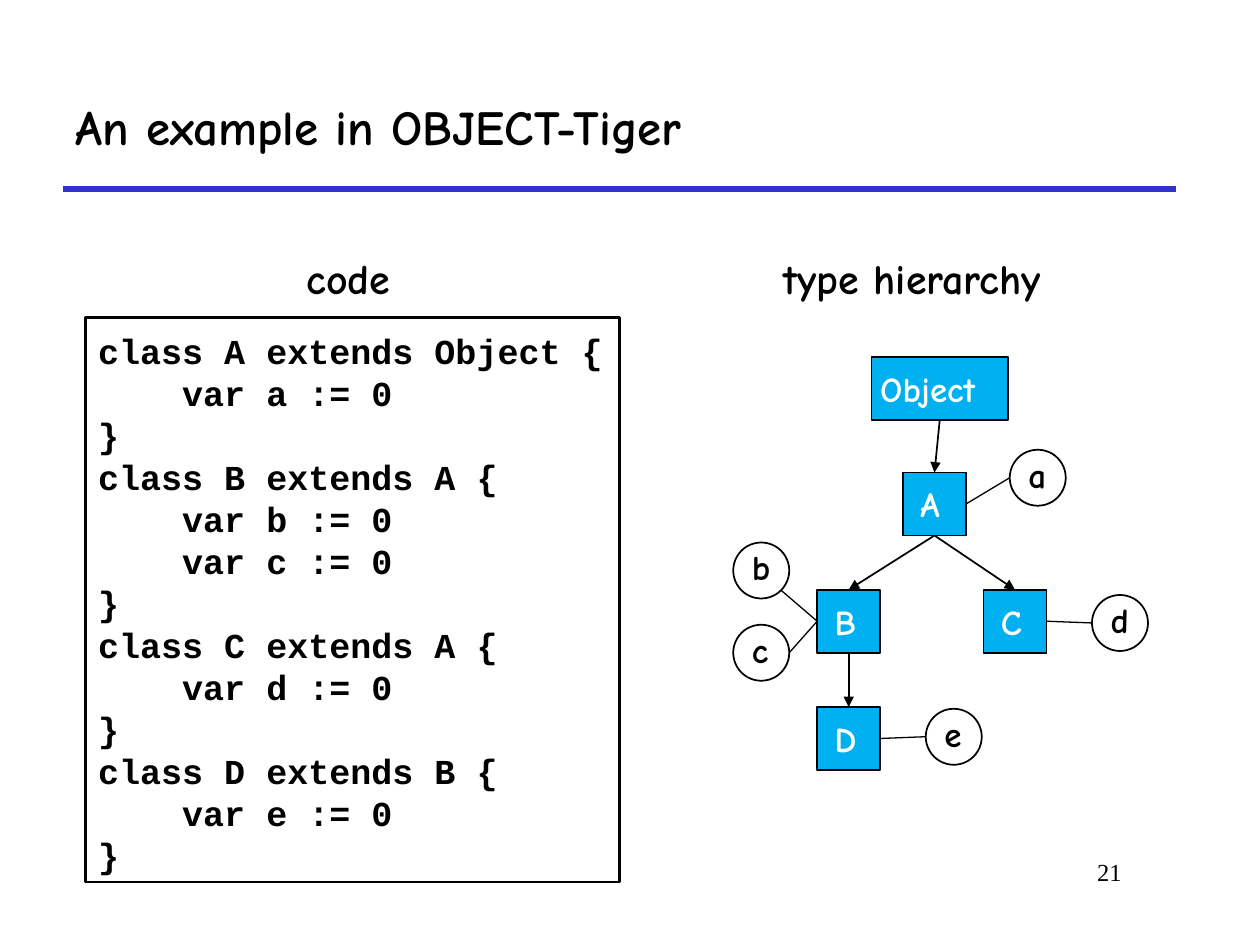
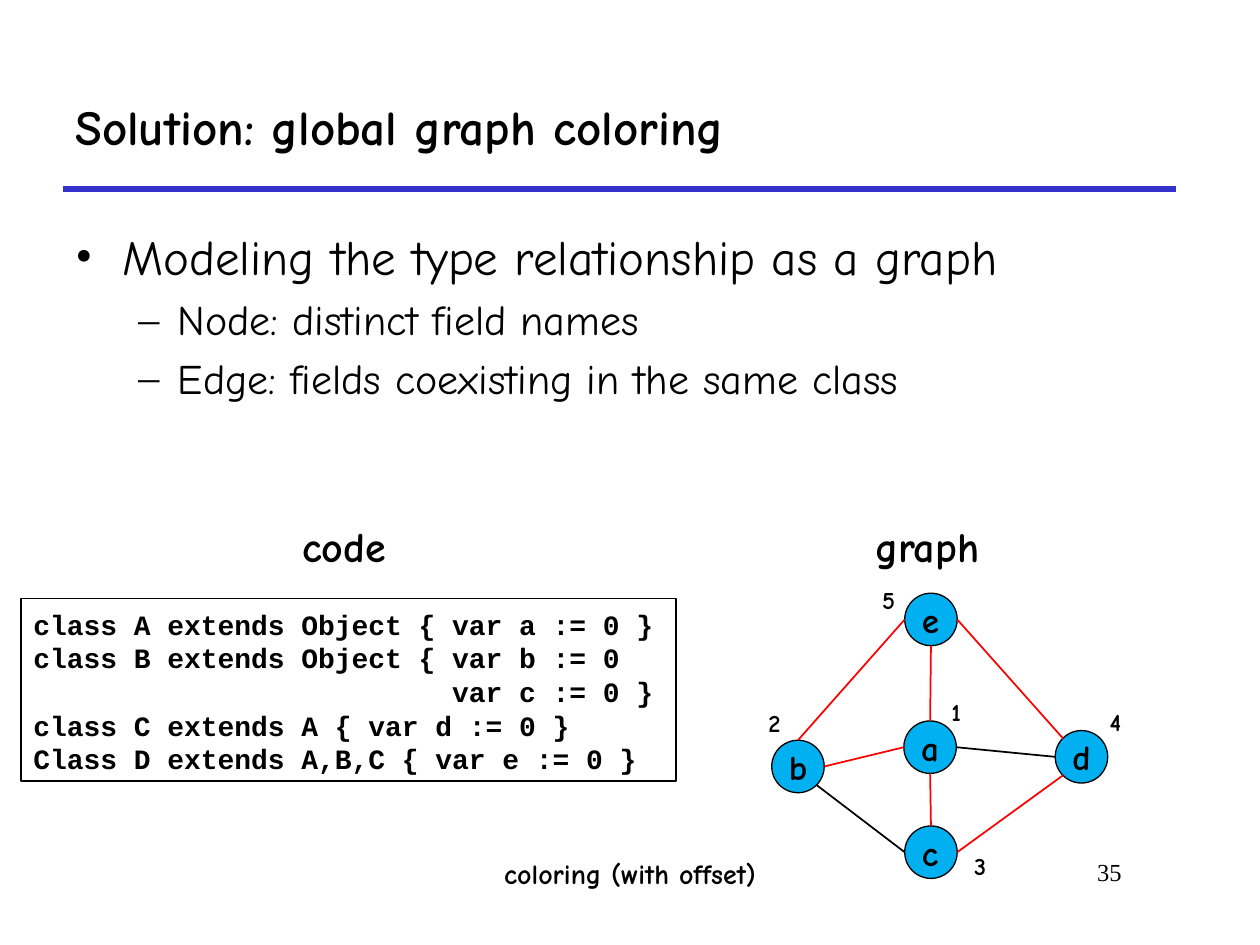
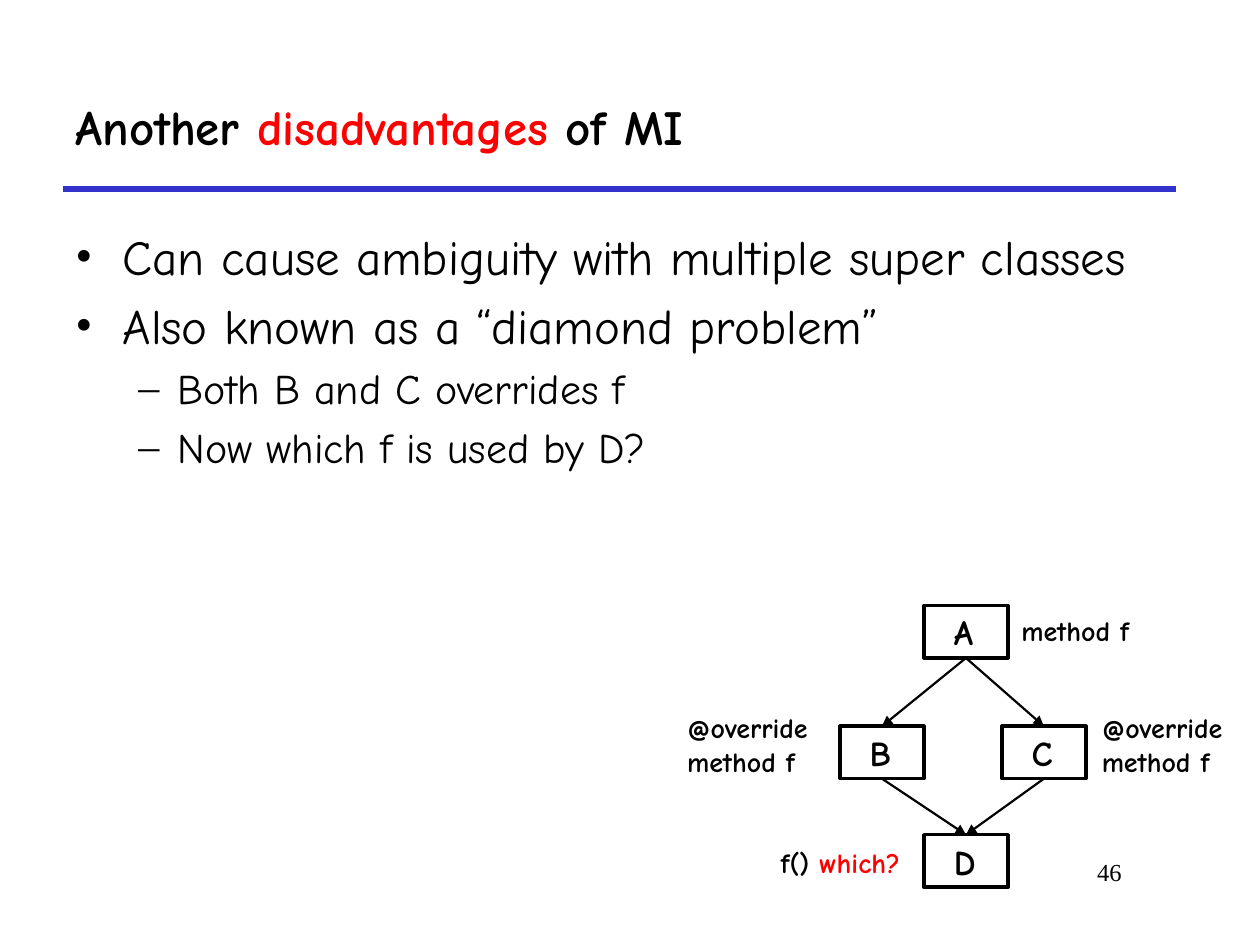
import pptx
import pptx.util
import pptx.dml.color
import pptx.enum.shapes
import pptx.enum.text
import pptx.oxml.ns
from lxml import etree

Pt = pptx.util.Pt
SHAPES = pptx.enum.shapes.MSO_SHAPE
ANCHOR = pptx.enum.text.MSO_ANCHOR
ALIGN = pptx.enum.text.PP_ALIGN

COLOURS = {"black": "000000", "white": "FFFFFF", "red": "FF0000",
           "sky": "00B0F0", "rule": "3333CC"}
HAND, MONO, SERIF = "Comic Neue", "Courier New", "Times New Roman"

# Bullet levels: size, left margin, hanging indent, mark
LEVELS = [(28, 27, 27, "•"), (24, 58.5, 22.5, "–")]

# Points on a node's outline, as fractions of its width and height
SITES = {"top": (0.5, 0), "bottom": (0.5, 1), "left": (0, 0.5), "right": (1, 0.5),
         "top left": (0.15, 0.15), "bottom left": (0.15, 0.85),
         "bottom right": (0.85, 0.85)}

# Node styles: shape, width, height, fill, text colour, line width, text inset, lift
CLASS_BOX = (SHAPES.RECTANGLE, 36, 36, "sky", "white", 1, 10, 0)
ROOT_BOX = (SHAPES.RECTANGLE, 78, 36, "sky", "white", 1, 5, 0)
FIELD = (SHAPES.OVAL, 32, 32, "white", "black", 1, 6, 4)
GRAPH_NODE = (SHAPES.OVAL, 30, 30, "sky", "black", 0.75, 5.5, 0)
DIAMOND_BOX = (SHAPES.RECTANGLE, 48, 30, None, "black", 2, 17, 0)

# A label is (lines, left, top, width, height, size); a line is text or (text, colour) runs.
# An edge is (node, site, node, site); edges are grouped as (colour, width, arrow, edges).
SLIDES = [
    {
        "title": ["An example in OBJECT-Tiger"],
        "number": 21,
        "bullets": [],
        "code": {
            "place": (49, 181.5, 305, 322.5), "size": 20, "line": 1.5,
            "lines": [
                "class A extends Object {",
                "    var a := 0",
                "}",
                "class B extends A {",
                "    var b := 0",
                "    var c := 0",
                "}",
                "class C extends A {",
                "    var d := 0",
                "}",
                "class D extends B {",
                "    var e := 0",
                "}",
            ],
        },
        "labels": [
            (["code"], 168, 141, 68, 36.5, 24),
            (["type hierarchy"], 440.5, 141, 181, 36.5, 24),
        ],
        "nodes": [
            (ROOT_BOX, {"Object": (498, 204)}),
            (CLASS_BOX, {"A": (516, 270), "B": (467, 337), "C": (562, 337), "D": (467, 404)}),
            (FIELD, {"a": (577, 257), "b": (419, 310), "c": (419, 357),
                     "d": (624, 340), "e": (529, 405)}),
        ],
        "edges": [
            ("black", 1, True, [
                ("Object", "bottom", "A", "top"), ("A", "bottom", "B", "top"),
                ("A", "bottom", "C", "top"), ("B", "bottom", "D", "top")]),
            ("black", 0.75, False, [
                ("A", "right", "a", "left"), ("B", "left", "b", "bottom right"),
                ("B", "left", "c", "right"), ("C", "right", "d", "left"),
                ("D", "right", "e", "left")]),
        ],
    },
    {
        "title": ["Solution: global graph coloring"],
        "number": 35,
        "bullets": [
            (0, "Modeling the type relationship as a graph"),
            (1, "Node: distinct field names"),
            (1, "Edge: fields coexisting in the same class"),
        ],
        "code": {
            "place": (12, 342, 374.5, 104.5), "size": 16, "line": 1,
            "lines": [
                "class A extends Object { var a := 0 }",
                "class B extends Object { var b := 0",
                "                         var c := 0 }",
                "class C extends A { var d := 0 }",
                "Class D extends A,B,C { var e := 0 }",
            ],
        },
        "labels": [
            (["code"], 165.5, 294, 68, 36.5, 24),
            (["graph"], 493, 294, 79, 36.5, 24),
            (["coloring (with offset)"], 281, 486, 176, 26.5, 16),
            (["1"], 536.5, 394.5, 26, 24.5, 14),
            (["2"], 432, 401, 26, 24.5, 14),
            (["3"], 549.5, 483, 26, 24.5, 14),
            (["4"], 627, 400.5, 26, 24.5, 14),
            (["5"], 497, 331, 26, 24.5, 14),
        ],
        "nodes": [
            (GRAPH_NODE, {"e": (517, 339), "b": (441, 423), "c": (517, 472),
                          "d": (603, 417.5), "a": (516.5, 412)}),
        ],
        "edges": [
            ("black", 1, False, [
                ("b", "bottom right", "c", "left"), ("a", "right", "d", "left")]),
            ("red", 1, False, [
                ("a", "top", "e", "bottom"), ("c", "top", "a", "bottom"),
                ("a", "left", "b", "right"), ("b", "top", "e", "left"),
                ("d", "top left", "e", "right"), ("d", "bottom left", "c", "right")]),
        ],
    },
    {
        "title": [[("Another ", "black"), ("disadvantages", "red"), (" of MI", "black")]],
        "number": 46,
        "bullets": [
            (0, "Can cause ambiguity with multiple super classes"),
            (0, "Also known as a “diamond problem”"),
            (1, "Both B and C overrides f"),
            (1, "Now which f is used by D?"),
        ],
        "code": None,
        "labels": [
            (["method f"], 576.5, 347, 84, 26.5, 16),
            (["@override", "method f"], 385.5, 402.5, 98, 46, 16),
            (["@override", "method f"], 622.5, 402.5, 98, 46, 16),
            ([[("f() ", "black"), ("which?", "red")]], 439, 479.5, 91, 26.5, 16),
        ],
        "nodes": [
            (DIAMOND_BOX, {"A": (528, 346), "B": (480, 415), "C": (572.5, 415),
                           "D": (528, 477)}),
        ],
        "edges": [
            ("black", 1.25, True, [
                ("A", "bottom", "B", "top"), ("A", "bottom", "C", "top"),
                ("B", "bottom", "D", "top"), ("C", "bottom", "D", "top")]),
        ],
    },
]


def rgb(name):
    return pptx.dml.color.RGBColor.from_string(COLOURS[name])


def write_lines(shape, lines, size, font=HAND, bold=True, colour="black"):
    """Fill a shape with one left-aligned paragraph per line."""
    frame = shape.text_frame
    frame.word_wrap = True
    for index, line in enumerate(lines):
        paragraph = frame.add_paragraph() if index else frame.paragraphs[0]
        paragraph.alignment = ALIGN.LEFT
        for text, run_colour in [(line, colour)] if isinstance(line, str) else line:
            run = paragraph.add_run()
            run.text = text
            run.font.name, run.font.size, run.font.bold = font, Pt(size), bold
            run.font.color.rgb = rgb(run_colour)
    return frame


def add_text(slide, place, lines, size, **style):
    box = slide.shapes.add_textbox(*map(Pt, place))
    return write_lines(box, lines, size, **style)


def add_outlined(slide, kind, place, fill, line_width):
    shape = slide.shapes.add_shape(kind, *map(Pt, place))
    shape.shadow.inherit = False
    if fill:
        shape.fill.solid()
        shape.fill.fore_color.rgb = rgb(fill)
    else:
        shape.fill.background()
    shape.line.color.rgb = rgb("black")
    shape.line.width = Pt(line_width)
    return shape


def add_line(slide, start, end, colour, width, arrow=False):
    line = slide.shapes.add_connector(
        pptx.enum.shapes.MSO_CONNECTOR.STRAIGHT, *start, *end)
    line.line.color.rgb = rgb(colour)
    line.line.width = Pt(width)
    if arrow:
        etree.SubElement(line.line._get_or_add_ln(),
                         pptx.oxml.ns.qn("a:tailEnd"), type="triangle")
    etree.SubElement(line._element.spPr, pptx.oxml.ns.qn("a:effectLst"))


def add_bullets(slide, bullets):
    frame = add_text(slide, (36, 126, 654, 348), [text for _, text in bullets], 28, bold=False)
    for index, (paragraph, (level, _)) in enumerate(zip(frame.paragraphs, bullets)):
        size, margin, hanging, mark = LEVELS[level]
        if index:
            paragraph.space_before = Pt(size * 0.2)
        properties = paragraph._p.get_or_add_pPr()
        properties.set("marL", str(Pt(margin)))
        properties.set("indent", str(-Pt(hanging)))
        etree.SubElement(properties, pptx.oxml.ns.qn("a:buFont"), typeface=SERIF)
        etree.SubElement(properties, pptx.oxml.ns.qn("a:buChar"), char=mark)
        paragraph.runs[0].font.size = Pt(size)


def add_code(slide, code):
    box = add_outlined(slide, SHAPES.RECTANGLE, code["place"], None, code["line"])
    frame = write_lines(box, code["lines"], code["size"], font=MONO)
    frame.vertical_anchor = ANCHOR.BOTTOM
    for paragraph in frame.paragraphs:
        paragraph.line_spacing = Pt(code["size"] * 1.2)


def add_node(slide, name, position, style):
    kind, width, height, fill, colour, line_width, inset, lift = style
    node = add_outlined(slide, kind, (*position, width, height), fill, line_width)
    frame = write_lines(node, [name], 20, colour=colour)
    frame.vertical_anchor = ANCHOR.MIDDLE
    frame.margin_left, frame.margin_bottom = Pt(inset), Pt(lift)
    frame.margin_right = frame.margin_top = 0
    return node


def site_of(node, site):
    across, down = SITES[site]
    return int(node.left + across * node.width), int(node.top + down * node.height)


def add_frame(slide, title, number):
    """Draw what every slide shares: rule, title and slide number."""
    add_line(slide, (Pt(36), Pt(108)), (Pt(672), Pt(108)), "rule", 3)
    add_text(slide, (36, 36, 636, 72), title, 28).vertical_anchor = ANCHOR.MIDDLE
    frame = add_text(slide, (546, 486, 102, 36), [str(number)], 14, font=SERIF, bold=False)
    frame.paragraphs[0].alignment = ALIGN.RIGHT


def build_slide(presentation, content):
    slide = presentation.slides.add_slide(presentation.slide_layouts[6])
    add_frame(slide, content["title"], content["number"])
    if content["bullets"]:
        add_bullets(slide, content["bullets"])
    if content["code"]:
        add_code(slide, content["code"])
    nodes = {}
    for style, positions in content["nodes"]:
        for name, position in positions.items():
            nodes[name] = add_node(slide, name, position, style)
    for colour, width, arrow, edges in content["edges"]:
        for start, start_site, end, end_site in edges:
            add_line(slide, site_of(nodes[start], start_site),
                     site_of(nodes[end], end_site), colour, width, arrow)
    for lines, *place, size in content["labels"]:
        add_text(slide, place, lines, size)


def main():
    presentation = pptx.Presentation()
    presentation.slide_width, presentation.slide_height = Pt(720), Pt(540)
    for content in SLIDES:
        build_slide(presentation, content)
    presentation.save("out.pptx")


if __name__ == "__main__":
    main()
